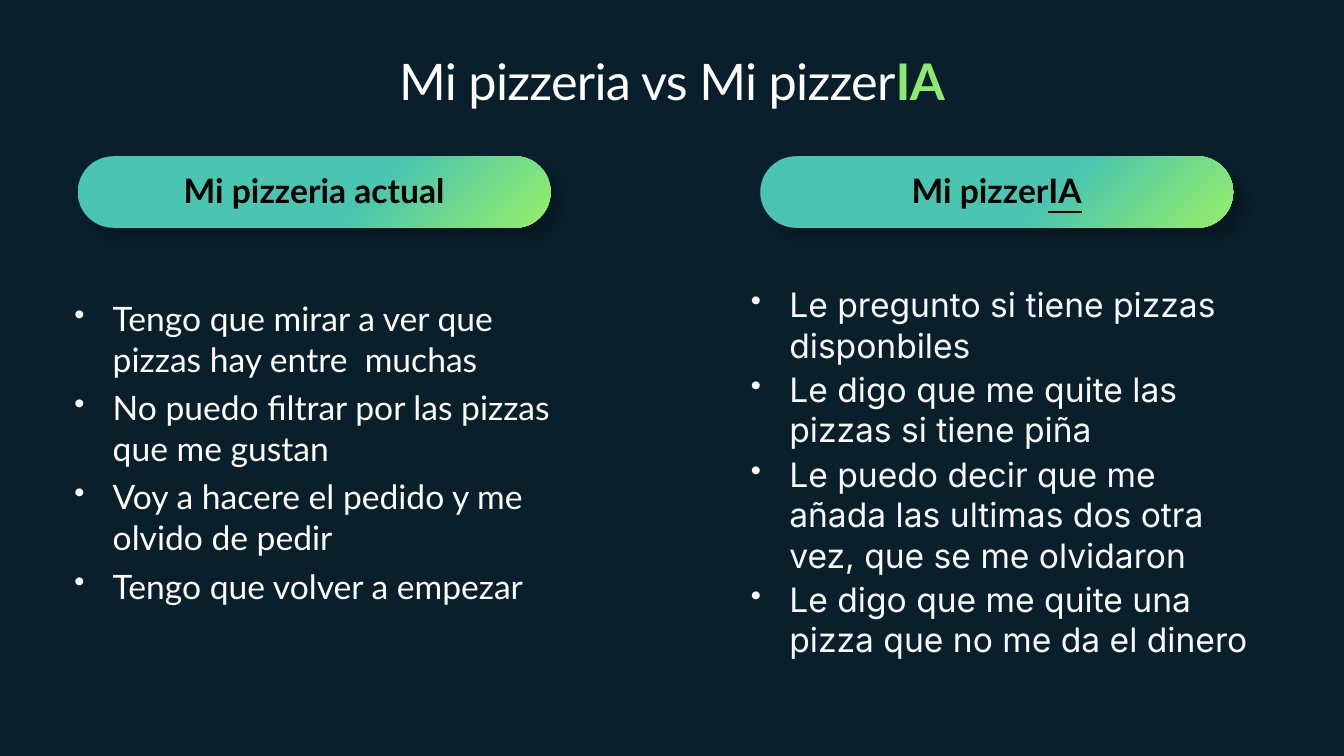
from dataclasses import dataclass

from lxml.etree import SubElement
from pptx import Presentation
from pptx.dml.color import RGBColor
from pptx.enum.shapes import MSO_SHAPE
from pptx.enum.text import MSO_ANCHOR, MSO_AUTO_SIZE, PP_ALIGN
from pptx.oxml.ns import qn
from pptx.slide import Slide
from pptx.text.text import Font, TextFrame, _Paragraph
from pptx.util import Emu, Pt

SCALE = 9144
NAVY = RGBColor(0x09, 0x1F, 0x2C)
GREEN = RGBColor(0x8D, 0xE9, 0x71)
TEAL = RGBColor(0x49, 0xC5, 0xB1)
BLACK = RGBColor(0, 0, 0)
WHITE = RGBColor(0xFF, 0xFF, 0xFF)
PALE = RGBColor(0xF8, 0xFA, 0xFF)


@dataclass(frozen=True)
class Pill:
    left: int
    text: str
    tail: str = ""


@dataclass(frozen=True)
class Points:
    left: int
    top: int
    width: int
    face: str
    color: RGBColor
    before: int
    after: int
    items: tuple[str, ...]


PILLS = (Pill(77, "Mi pizzeria actual"), Pill(754, "Mi pizzer", "IA"))
LISTS = (
    Points(64, 291, 494, "Lato", WHITE, 0, 6, (
        "Tengo que mirar a ver que pizzas hay entre  muchas",
        "No puedo filtrar por las pizzas que me gustan",
        "Voy a hacere el pedido y me olvido de pedir",
        "Tengo que volver a empezar",
    )),
    Points(735, 277, 522, "Inter", PALE, 3, 0, (
        "Le pregunto si tiene pizzas disponbiles",
        "Le digo que me quite las pizzas si tiene piña",
        "Le puedo decir que me añada las ultimas dos otra vez, que se me olvidaron",
        "Le digo que me quite una pizza que no me da el dinero",
    )),
)


def px(size: int) -> Emu:
    return Emu(size * SCALE)


def style(font: Font, face: str, size: int, color: RGBColor) -> None:
    font.name = face
    font.size = Pt(size)
    font.color.rgb = color


def inset(frame: TextFrame, side: int, edge: int) -> None:
    frame.margin_left = frame.margin_right = px(side)
    frame.margin_top = frame.margin_bottom = px(edge)


def add_box(slide: Slide, left: int, top: int, width: int, height: int) -> TextFrame:
    frame = slide.shapes.add_textbox(px(left), px(top), px(width), px(height)).text_frame
    frame.word_wrap = True
    return frame


def add_title(slide: Slide) -> None:
    frame = add_box(slide, 64, 50, 1205, 61)
    frame.auto_size = MSO_AUTO_SIZE.SHAPE_TO_FIT_TEXT
    inset(frame, 0, 0)
    para = frame.paragraphs[0]
    para.alignment = PP_ALIGN.CENTER
    for text, color, bold in (("Mi pizzeria vs Mi pizzer", WHITE, False), ("IA", GREEN, True)):
        run = para.add_run()
        run.text = text
        style(run.font, "Lato", 36, color)
        run.font.bold = bold
        run.font._element.set("spc", "-50")


def add_pill(slide: Slide, pill: Pill) -> None:
    shape = slide.shapes.add_shape(
        MSO_SHAPE.ROUNDED_RECTANGLE, px(pill.left), px(155), px(469), px(71))
    shape.adjustments[0] = 0.5
    shape.line.fill.background()
    shape.fill.gradient()
    for stop, color, place in zip(shape.fill.gradient_stops, (GREEN, TEAL), (0.05, 0.4)):
        stop.color.rgb = color
        stop.position = place
    props = shape._element.spPr
    grad = props.find(qn("a:gradFill"))
    grad.remove(grad.find(qn("a:lin")))
    ring = SubElement(grad, qn("a:path"), path="circle")
    SubElement(ring, qn("a:fillToRect"), l="100000", t="100000")
    shape.shadow.inherit = False
    shade = SubElement(
        props.find(qn("a:effectLst")), qn("a:outerShdw"), blurRad=str(Pt(5)),
        dist=str(Pt(10)), dir="2700000", algn="tl", rotWithShape="0")
    tint = SubElement(shade, qn("a:srgbClr"), val=str(BLACK))
    SubElement(tint, qn("a:alpha"), val="20000")

    frame = shape.text_frame
    frame.vertical_anchor = MSO_ANCHOR.MIDDLE
    inset(frame, 0, 4)
    para = frame.paragraphs[0]
    para.alignment = PP_ALIGN.CENTER
    para.line_spacing = 0.95
    style(para.font, "Lato", 24, BLACK)
    para.font.bold = True
    para.add_run().text = pill.text
    if pill.tail:
        run = para.add_run()
        run.text = pill.tail
        run.font.underline = True


def add_bullet(para: _Paragraph) -> None:
    props = para._p.get_or_add_pPr()
    props.set("marL", str(px(38)))
    props.set("indent", str(px(-38)))
    SubElement(props, qn("a:buSzPct"), val="90000")
    SubElement(props, qn("a:buChar"), char="•")


def add_list(slide: Slide, points: Points) -> None:
    frame = add_box(slide, points.left, points.top, points.width, 297)
    for index, text in enumerate(points.items):
        para = frame.add_paragraph() if index else frame.paragraphs[0]
        para.text = text
        add_bullet(para)
        para.space_before = Pt(points.before if index else 0)
        para.space_after = Pt(points.after)
        style(para.font, points.face, 24, points.color)


def main() -> None:
    deck = Presentation()
    deck.slide_width, deck.slide_height = px(1333), px(750)
    slide = deck.slides.add_slide(deck.slide_layouts[6])
    slide.background.fill.solid()
    slide.background.fill.fore_color.rgb = NAVY
    add_title(slide)
    for pill in PILLS:
        add_pill(slide, pill)
    for points in LISTS:
        add_list(slide, points)
    deck.save("out.pptx")


if __name__ == "__main__":
    main()
